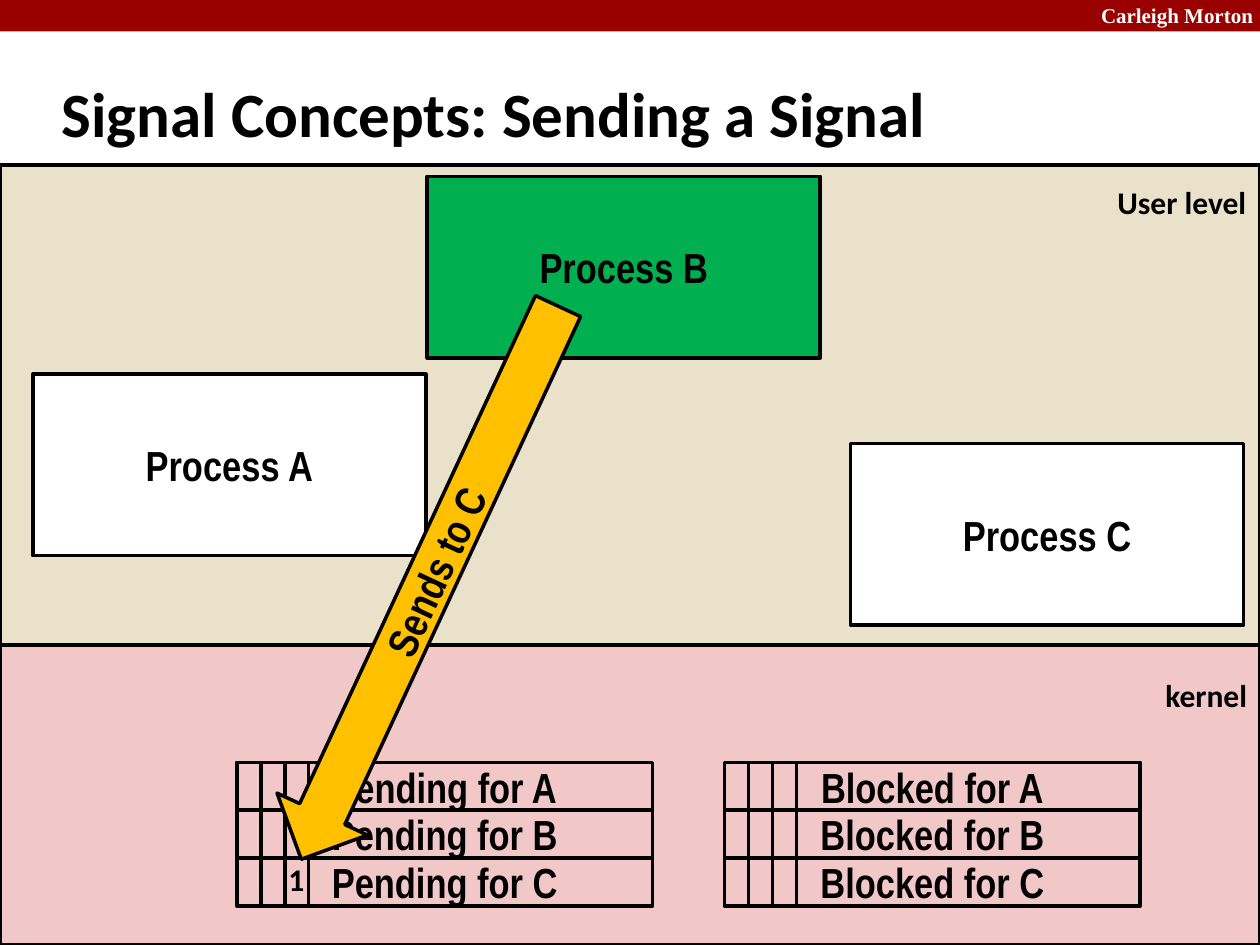
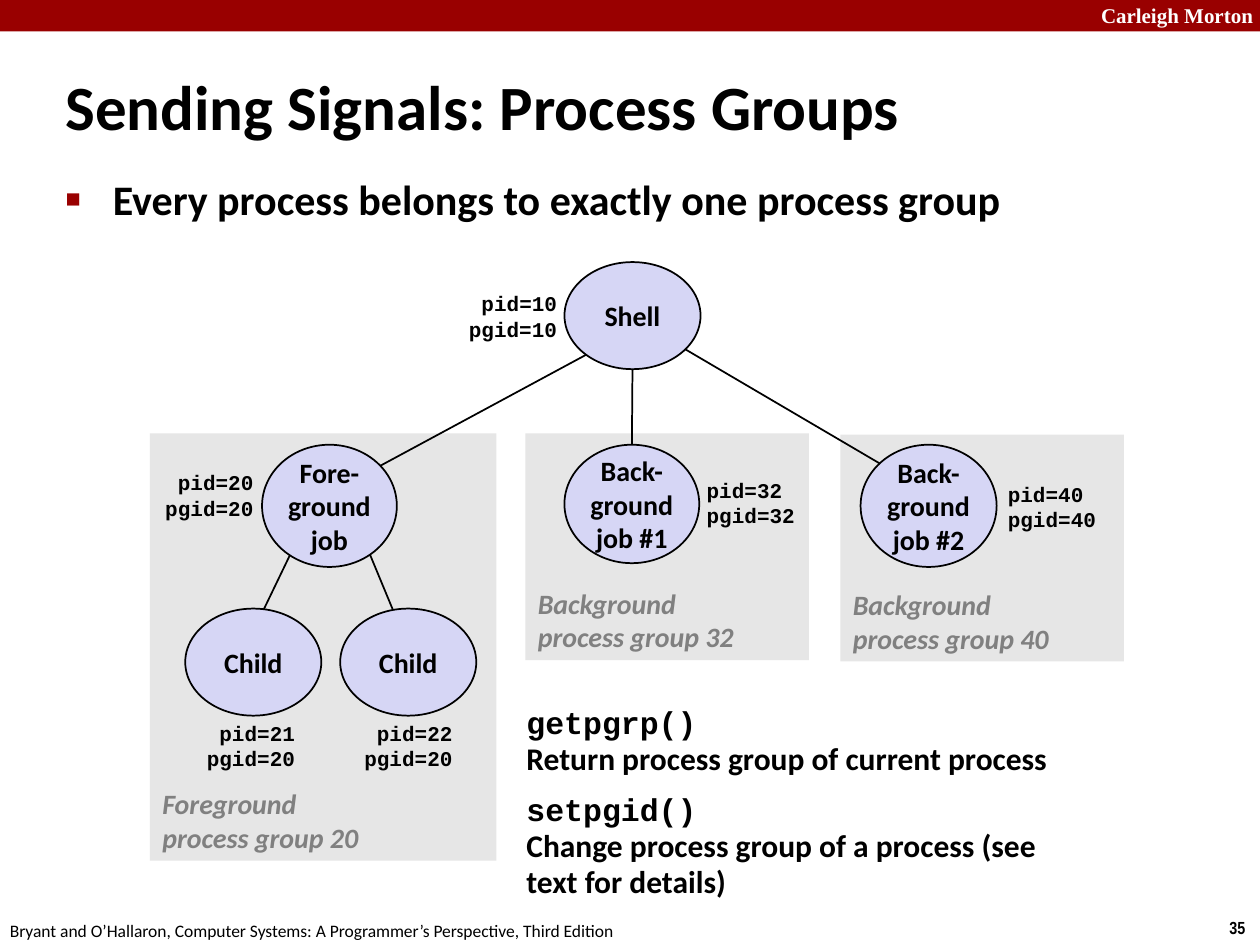
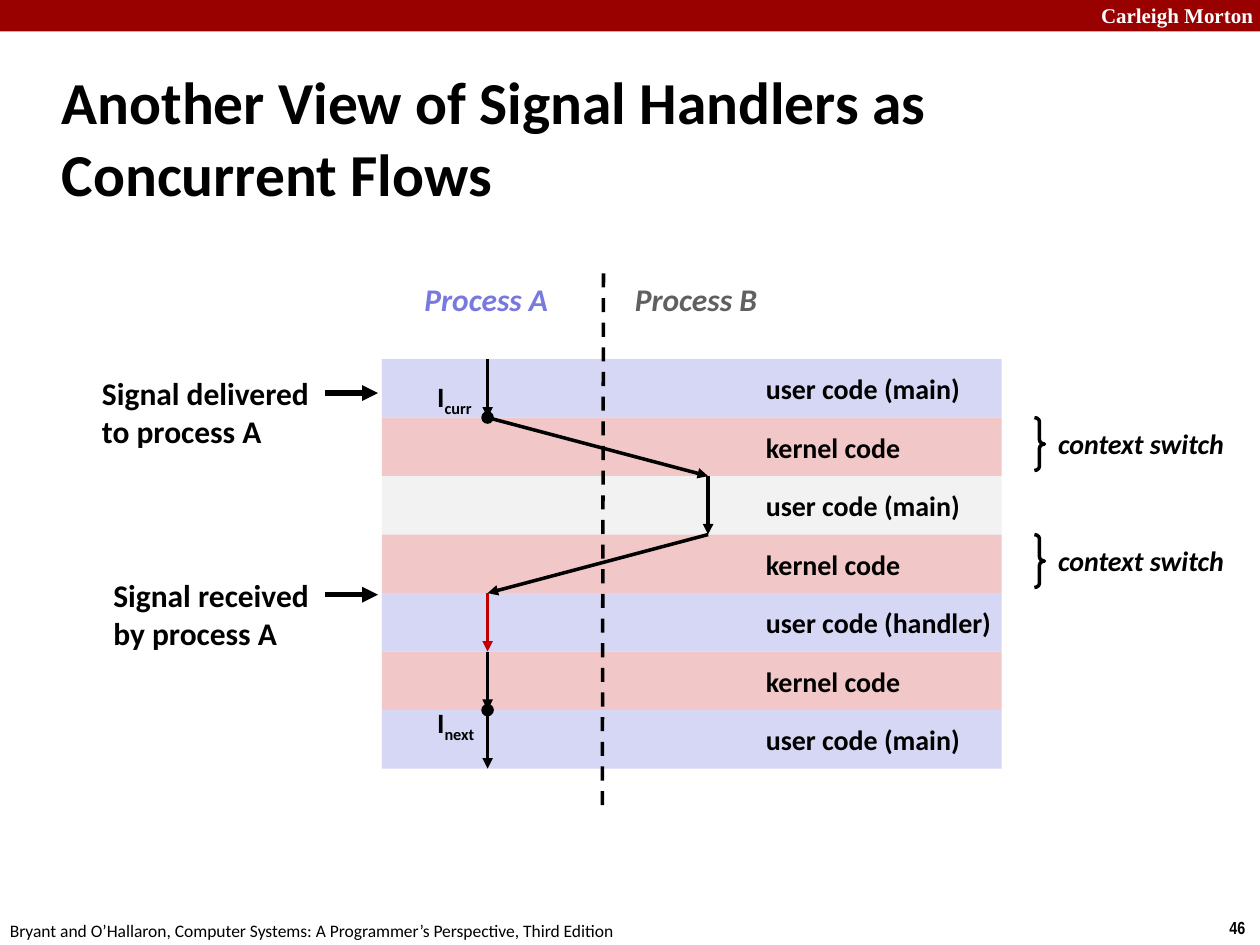
import math
from itertools import pairwise

from lxml import etree
from pptx import Presentation
from pptx import util as u
from pptx.dml.color import RGBColor
from pptx.enum import dml, shapes, text
from pptx.oxml.ns import qn

WIDTH, HEIGHT = 10, 7.5
BLACK, WHITE = RGBColor(0, 0, 0), RGBColor(255, 255, 255)
CRIMSON = RGBColor(0x99, 0, 0)
RED = RGBColor(0xC0, 0, 0)
SAND = RGBColor(0xE9, 0xE1, 0xC9)
PINK = RGBColor(0xF1, 0xC7, 0xC7)
GREEN = RGBColor(0, 0xB0, 0x50)
AMBER = RGBColor(0xFF, 0xC0, 0)
LAVENDER = RGBColor(0xD6, 0xD6, 0xF5)
VIOLET = RGBColor(0x78, 0x78, 0xDE)
PANEL_GREY = RGBColor(0xE6, 0xE6, 0xE6)
PALE_GREY = RGBColor(0xF2, 0xF2, 0xF2)
LABEL_GREY = RGBColor(0x80, 0x80, 0x80)
DARK_GREY = RGBColor(0x60, 0x60, 0x60)
SANS, NARROW, MONO, SERIF = "Calibri", "Arial Narrow", "Courier New", "Times New Roman"
KIND = shapes.MSO_SHAPE
LEFT, CENTER, RIGHT = text.PP_ALIGN.LEFT, text.PP_ALIGN.CENTER, text.PP_ALIGN.RIGHT
TOP, MIDDLE = text.MSO_ANCHOR.TOP, text.MSO_ANCHOR.MIDDLE

SCHOOL = "Carleigh Morton"
FOOTER = ("Bryant and O’Hallaron, Computer Systems: "
          "A Programmer’s Perspective, Third Edition")

# Sending a signal
PROCESS_SIZE = (3.12, 1.44)
PROCESSES = [("Process A", 0.26, 2.97, WHITE), ("Process B", 3.39, 1.4, GREEN),
             ("Process C", 6.75, 3.52, WHITE)]
LEVELS = [((0, 1.31, WIDTH, 3.92), SAND), ((0, 5.12, WIDTH, 2.38), PINK)]
LEVEL_NAMES = [("User level", (8.77, 1.4, 1.23, 0.4)), ("kernel", (9.15, 5.32, 0.85, 0.4))]
BIT_VECTORS = [("Pending", 1.88), ("Blocked", 5.75)]
VECTOR_TOP, VECTOR_WIDTH, VECTOR_ROW, BIT_WIDTH = 6.05, 3.3, 0.38, 0.19

# Process groups
GROUPS = [("Background", 40, (6.67, 3.45, 2.25, 1.8)),
          ("Background", 32, (4.17, 3.44, 2.25, 1.8)),
          ("Foreground", 20, (1.19, 3.44, 2.75, 3.39))]
# name: (lines, ellipse box, pid, pgid, left and top of the pid label, alignment)
TREE = {
    "foreground": (["Fore-", "ground", "job"], (2.08, 3.53, 1.07, 0.97),
                   20, 20, (1.2, 3.68), RIGHT),
    "job 1": (["Back-", "ground", "job #1"], (4.48, 3.53, 1.07, 0.94),
              32, 32, (5.51, 3.74), LEFT),
    "job 2": (["Back-", "ground", "job #2"], (6.83, 3.53, 1.08, 0.97),
              40, 40, (7.9, 3.77), LEFT),
    "shell": (["Shell"], (4.48, 2.08, 1.08, 0.85), 10, 10, (3.61, 2.26), RIGHT),
    "child 1": (["Child"], (1.47, 4.83, 1.08, 0.85), 21, 20, (1.53, 5.67), RIGHT),
    "child 2": (["Child"], (2.7, 4.83, 1.08, 0.85), 22, 20, (2.78, 5.67), RIGHT),
}
# parent, angle on its rim, child, angle on its rim (degrees clockwise from the right)
BRANCHES = [("foreground", 126, "child 1", -81), ("foreground", 53, "child 2", -103),
            ("shell", 90, "job 1", -90), ("shell", 133, "foreground", -41),
            ("shell", 39, "job 2", -136)]
CALLS = [("getpgrp()", "Return process group of current process"),
         ("setpgid()", "Change process group of a process (see text for details)")]

# Concurrent flows
BANDS = [("user code (main)", LAVENDER), ("kernel code", PINK),
         ("user code (main)", PALE_GREY), ("kernel code", PINK),
         ("user code (handler)", LAVENDER), ("kernel code", PINK),
         ("user code (main)", LAVENDER)]
BAND_LEFT, BAND_TOP, BAND_WIDTH, BAND_BOTTOM = 3.03, 2.85, 4.92, 6.1
A_X, B_X = 3.87, 5.62
FLOW = [A_X, A_X, B_X, B_X, A_X, A_X, A_X, A_X]
HANDLER_STEP = 4
SWITCH_BANDS = [1, 3]
HEADINGS = [("Process A", 3.27, VIOLET), ("Process B", 4.94, DARK_GREY)]
EVENTS = [(["Signal delivered", "to process A"], 0.76, 2.92, 1.77),
          (["Signal received", "by process A"], 0.85, 4.52, 1.67)]
# subscript, top of the label, band edge with the dot
INSTRUCTIONS = [("curr", 2.96, 1), ("next", 5.55, 6)]


def inches(values):
    return [u.Inches(value) for value in values]


def set_font(font, size, color=BLACK, name=SANS, bold=True, italic=False):
    font.size, font.name, font.bold, font.italic = u.Pt(size), name, bold, italic
    font.color.rgb = color


def write(frame, lines, size, align=LEFT, anchor=TOP, wrap=False, **look):
    """Put one paragraph per line into a text frame."""
    frame.word_wrap = wrap
    frame.vertical_anchor = anchor
    frame.text = "\n".join(lines)
    for para in frame.paragraphs:
        para.alignment = align
        set_font(para.font, size, **look)


def add_text(slide, box, lines, size, inset=0.1, **look):
    frame = slide.shapes.add_textbox(*inches(box)).text_frame
    frame.margin_left = frame.margin_right = u.Inches(inset)
    write(frame, lines, size, **look)
    return frame


def add_figure(slide, box, fill=None, line=None, kind=KIND.RECTANGLE):
    figure = slide.shapes.add_shape(kind, *inches(box))
    figure.shadow.inherit = False
    if fill is None:
        figure.fill.background()
    else:
        figure.fill.solid()
        figure.fill.fore_color.rgb = fill
    if line is None:
        figure.line.fill.background()
    else:
        figure.line.color.rgb = BLACK
        figure.line.width = u.Pt(line)
    return figure


def add_line(slide, start, end, width=2, color=BLACK, arrow=False, dashed=False):
    line = slide.shapes.add_connector(shapes.MSO_CONNECTOR.STRAIGHT, *inches(start + end))
    line.line.width = u.Pt(width)
    line.line.color.rgb = color
    if dashed:
        line.line.dash_style = dml.MSO_LINE.DASH
    properties = line.element.spPr
    if arrow:
        etree.SubElement(properties.find(qn("a:ln")), qn("a:tailEnd"), type="triangle")
    etree.SubElement(properties, qn("a:effectLst"))


def place(holder, box):
    holder.left, holder.top, holder.width, holder.height = inches(box)
    holder.text_frame.auto_size = text.MSO_AUTO_SIZE.NONE
    return holder.text_frame


def start_slide(deck, title, title_at, size=36, layout="Title Only", number=None):
    """Add a slide with its title, top band and, if numbered, footer."""
    slide = deck.slides.add_slide(deck.slide_layouts.get_by_name(layout))
    write(place(slide.shapes.title, (*title_at, 8.3, 0.83)), [title], size,
          anchor=MIDDLE, wrap=True)
    add_figure(slide, (0, 0, WIDTH, 0.25), CRIMSON)
    add_text(slide, (8.64, -0.03, 1.43, 0.3), [SCHOOL], 12, color=WHITE, name=SERIF)
    if number:
        add_text(slide, (9.66, 7.23, 0.34, 0.27), [str(number)], 10, name=NARROW)
        add_text(slide, (-0.02, 7.25, 5.08, 0.27), [FOOTER], 10, bold=False)
    return slide


def label_figure(figure, label):
    write(figure.text_frame, [label], 24, align=CENTER, anchor=MIDDLE, name=NARROW)


def build_sending(deck):
    slide = start_slide(deck, "Signal Concepts: Sending a Signal", (0.39, 0.48))
    for box, fill in LEVELS:
        add_figure(slide, box, fill, 2)
    for name, left, top, fill in PROCESSES:
        label_figure(add_figure(slide, (left, top, *PROCESS_SIZE), fill, 2), name)
    for name, box in LEVEL_NAMES:
        add_text(slide, box, [name], 18)
    for name, left in BIT_VECTORS:
        for row, owner in enumerate("ABC"):
            top = VECTOR_TOP + row * VECTOR_ROW
            cell = add_figure(slide, (left, top, VECTOR_WIDTH, VECTOR_ROW), line=2)
            label_figure(cell, f"{name} for {owner}")
        for bit in (1, 2, 3):
            x = left + bit * BIT_WIDTH
            add_line(slide, (x, VECTOR_TOP), (x, VECTOR_TOP + 3 * VECTOR_ROW))
    add_text(slide, (2.19, 6.78, 0.34, 0.4), ["1"], 18)
    arrow = add_figure(slide, (0.99, 4.23, 4.84, 0.79), AMBER, 2, KIND.RIGHT_ARROW)
    arrow.rotation = 114.9
    arrow.element.spPr.get_or_add_xfrm().set("flipV", "1")
    label_figure(arrow, "Sends to C")


def rim_point(box, degrees):
    left, top, width, height = box
    angle = math.radians(degrees)
    return (left + width / 2 * (1 + math.cos(angle)),
            top + height / 2 * (1 + math.sin(angle)))


def square_bullet(para):
    properties = para._p.get_or_add_pPr()
    color = etree.SubElement(properties, qn("a:buClr"))
    etree.SubElement(color, qn("a:srgbClr"), val=str(CRIMSON))
    etree.SubElement(properties, qn("a:buSzPct"), val="60000")
    etree.SubElement(properties, qn("a:buFont"), typeface="Arial")
    etree.SubElement(properties, qn("a:buChar"), char="■")


def build_groups(deck):
    slide = start_slide(deck, "Sending Signals: Process Groups", (0.42, 0.42),
                        layout="Title and Content", number=35)
    body = place(slide.placeholders[1], (0.42, 1.33, 8.44, 0.67))
    write(body, ["Every process belongs to exactly one process group"], 24, wrap=True)
    square_bullet(body.paragraphs[0])

    for kind, group, box in GROUPS:
        add_figure(slide, box, PANEL_GREY)
        left, top, _, height = box
        add_text(slide, (left, top + height - 0.64, 1.78, 0.64),
                 [kind, f"process group {group}"], 16,
                 anchor=MIDDLE, color=LABEL_GREY, italic=True)
    for lines, box, pid, pgid, label_at, align in TREE.values():
        node = add_figure(slide, box, LAVENDER, 1, KIND.OVAL)
        write(node.text_frame, lines, 16, align=CENTER, anchor=MIDDLE)
        add_text(slide, (*label_at, 0.91, 0.5), [f"pid={pid}", f"pgid={pgid}"], 12,
                 align=align, anchor=MIDDLE, name=MONO)
    for parent, leaving, child, arriving in BRANCHES:
        add_line(slide, rim_point(TREE[parent][1], leaving),
                 rim_point(TREE[child][1], arriving), width=1)

    frame = add_text(slide, (4.08, 5.55, 4.5, 1.7), [""] * len(CALLS), 18, wrap=True)
    for para, (call, meaning) in zip(frame.paragraphs, CALLS):
        para.line_spacing, para.space_before = 0.95, u.Pt(9)
        span = para.add_run()
        span.text, span.font.name = call, MONO
        para.add_line_break()
        para.add_run().text = meaning


def build_flows(deck):
    slide = start_slide(deck, "Another View of Signal Handlers as Concurrent Flows",
                        (0.39, 0.67), size=34, number=46)
    pitch = (BAND_BOTTOM - BAND_TOP) / len(BANDS)
    edges = [BAND_TOP + row * pitch for row in range(len(BANDS) + 1)]
    for (label, fill), top in zip(BANDS, edges):
        add_figure(slide, (BAND_LEFT, top, BAND_WIDTH, pitch), fill)
        width = {"kernel code": 1.28, "user code (main)": 1.76}.get(label, 2.02)
        add_text(slide, (5.98, top + 0.05, width, 0.37), [label], 16)
    for name, left, color in HEADINGS:
        add_text(slide, (left, 2.17, 1.2, 0.4), [name], 18, color=color, italic=True)
    add_line(slide, (4.79, 2.17), (4.78, 6.47), dashed=True)

    for step, (start, end) in enumerate(pairwise(zip(FLOW, edges))):
        add_line(slide, start, end, color=RED if step == HANDLER_STEP else BLACK, arrow=True)
    for lines, left, top, width in EVENTS:
        add_text(slide, (left, top, width, 0.71), lines, 18, inset=0.05)
        add_line(slide, (2.58, top + 0.2), (3, top + 0.2), width=3, arrow=True)
    for band in SWITCH_BANDS:
        brace = add_figure(slide, (8.21, edges[band], 0.08, 0.42), line=2,
                           kind=KIND.RIGHT_BRACE)
        brace.adjustments[0] = 0.42
        add_text(slide, (8.3, edges[band] + 0.02, 1.54, 0.37), ["context switch"], 16,
                 italic=True)
    for subscript, top, edge in INSTRUCTIONS:
        frame = add_text(slide, (3.42, top, 0.43, 0.37), ["I"], 16, inset=0.05)
        span = frame.paragraphs[0].add_run()
        span.text = subscript
        span._r.get_or_add_rPr().set("baseline", "-25000")
        add_figure(slide, (A_X - 0.05, edges[edge] - 0.05, 0.1, 0.1), BLACK, kind=KIND.OVAL)


def main():
    deck = Presentation()
    deck.slide_width, deck.slide_height = inches((WIDTH, HEIGHT))
    build_sending(deck)
    build_groups(deck)
    build_flows(deck)
    deck.save("out.pptx")


if __name__ == "__main__":
    main()
